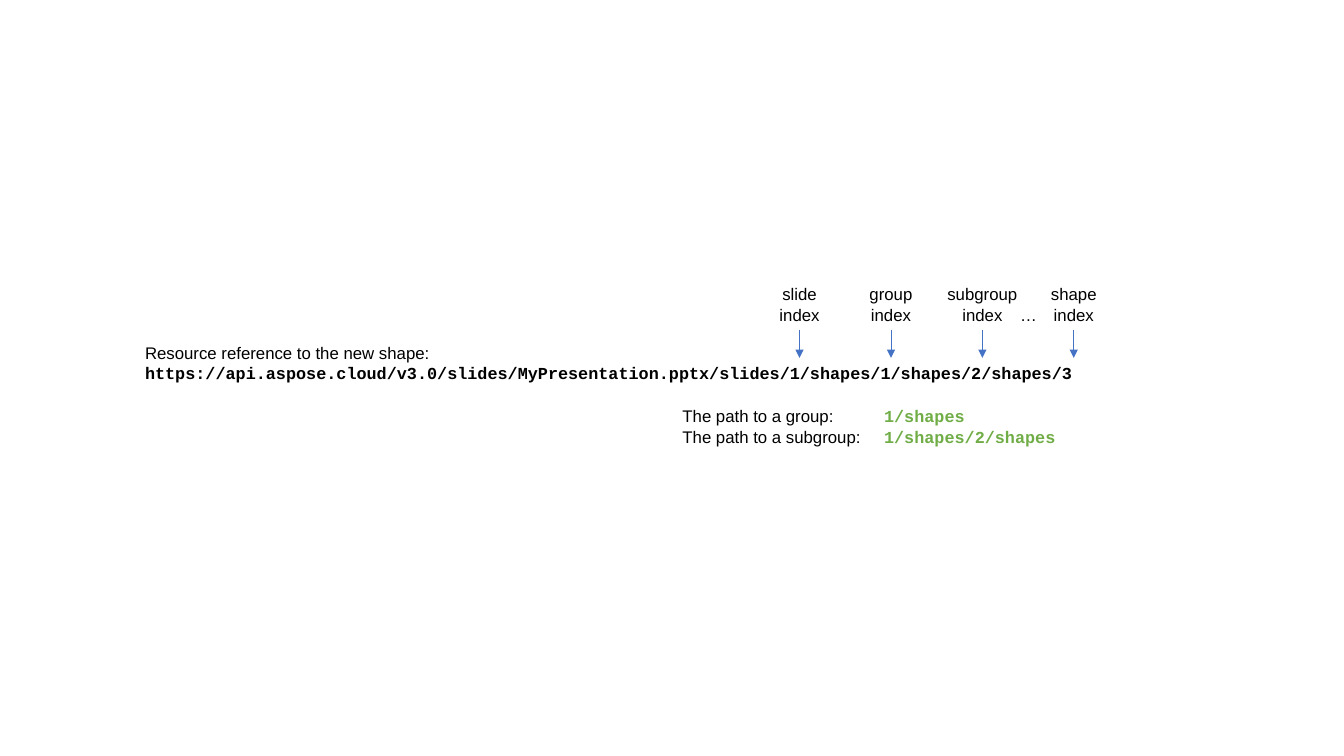
from lxml.etree import SubElement
from pptx import Presentation
from pptx.dml.color import RGBColor
from pptx.enum.shapes import MSO_CONNECTOR
from pptx.enum.text import MSO_AUTO_SIZE, PP_ALIGN
from pptx.oxml.ns import qn
from pptx.util import Inches, Pt

BLACK = RGBColor(0x00, 0x00, 0x00)
GREEN = RGBColor(0x70, 0xAD, 0x47)
BLUE = RGBColor(0x44, 0x72, 0xC4)
SANS, MONO = "Arial", "Courier New"

# Index columns: evenly spaced centres from the first to the last
FIRST, LAST = 7.93, 10.65
LABELS = ["slide", "group", "subgroup", "shape"]
STEP = (LAST - FIRST) / (len(LABELS) - 1)

# Rows
LABEL_TOP, ARROW_TOP, ARROW_END = 2.77, 3.27, 3.55
LINK_TOP, PATH_TOP = 3.35, 3.98
LINE, PAIR = 0.3, 0.5

LINK = ("https://api.aspose.cloud/v3.0/slides/MyPresentation.pptx"
        "/slides/1/shapes/1/shapes/2/shapes/3")
PATHS = [("group", "1/shapes"), ("subgroup", "1/shapes/2/shapes")]


def add_run(para, text, font=SANS, color=BLACK, bold=False, size=12):
    run = para.add_run()
    run.text = text
    run.font.name, run.font.size = font, Pt(size)
    run.font.bold, run.font.color.rgb = bold, color


def add_text(slide, left, top, width, height, lines, align=PP_ALIGN.LEFT, tab=None):
    """Each line is a list of (text, format) runs; tab is a stop in inches."""
    box = slide.shapes.add_textbox(*map(Inches, (left, top, width, height)))
    frame = box.text_frame
    frame.word_wrap = False
    frame.auto_size = MSO_AUTO_SIZE.SHAPE_TO_FIT_TEXT
    for i, runs in enumerate(lines):
        para = frame.add_paragraph() if i else frame.paragraphs[0]
        para.alignment = align
        if tab:
            stops = SubElement(para._p.get_or_add_pPr(), qn("a:tabLst"))
            SubElement(stops, qn("a:tab"), pos=str(Inches(tab)), algn="l")
        for text, style in runs:
            add_run(para, text, **style)


def add_label(slide, mid, top, width, height, *words):
    add_text(slide, mid - width / 2, top, width, height,
             [[(word, {})] for word in words], align=PP_ALIGN.CENTER)


def add_arrow(slide, x, top, end):
    arrow = slide.shapes.add_connector(
        MSO_CONNECTOR.STRAIGHT, *map(Inches, (x, top, x, end)))
    arrow.line.color.rgb = BLUE
    arrow.line.width = Pt(0.5)
    SubElement(arrow.line._get_or_add_ln(), qn("a:tailEnd"), type="triangle")
    SubElement(arrow._element.spPr, qn("a:effectLst"))


def main():
    deck = Presentation()
    deck.slide_width, deck.slide_height = Inches(13.33), Inches(7.5)
    slide = deck.slides.add_slide(deck.slide_layouts[6])

    # Index labels with arrows
    for i, label in enumerate(LABELS):
        mid = FIRST + i * STEP
        add_label(slide, mid, LABEL_TOP, STEP, PAIR, label, "index")
        add_arrow(slide, mid, ARROW_TOP, ARROW_END)
    add_label(slide, 10.2, LABEL_TOP + 0.2, 0.37, LINE, "…")

    # Resource link
    add_text(slide, 1.34, LINK_TOP, 9.66, PAIR, [
        [("Resource reference to the new shape:", {})],
        [(LINK, dict(font=MONO, bold=True))],
    ])

    # Paths
    code = dict(font=MONO, color=GREEN, bold=True)
    add_text(slide, 6.67, PATH_TOP, 3.95, PAIR, [
        [(f"The path to a {kind}:\t", {}), (route, code)] for kind, route in PATHS
    ], tab=2)

    deck.save("out.pptx")


if __name__ == "__main__":
    main()
